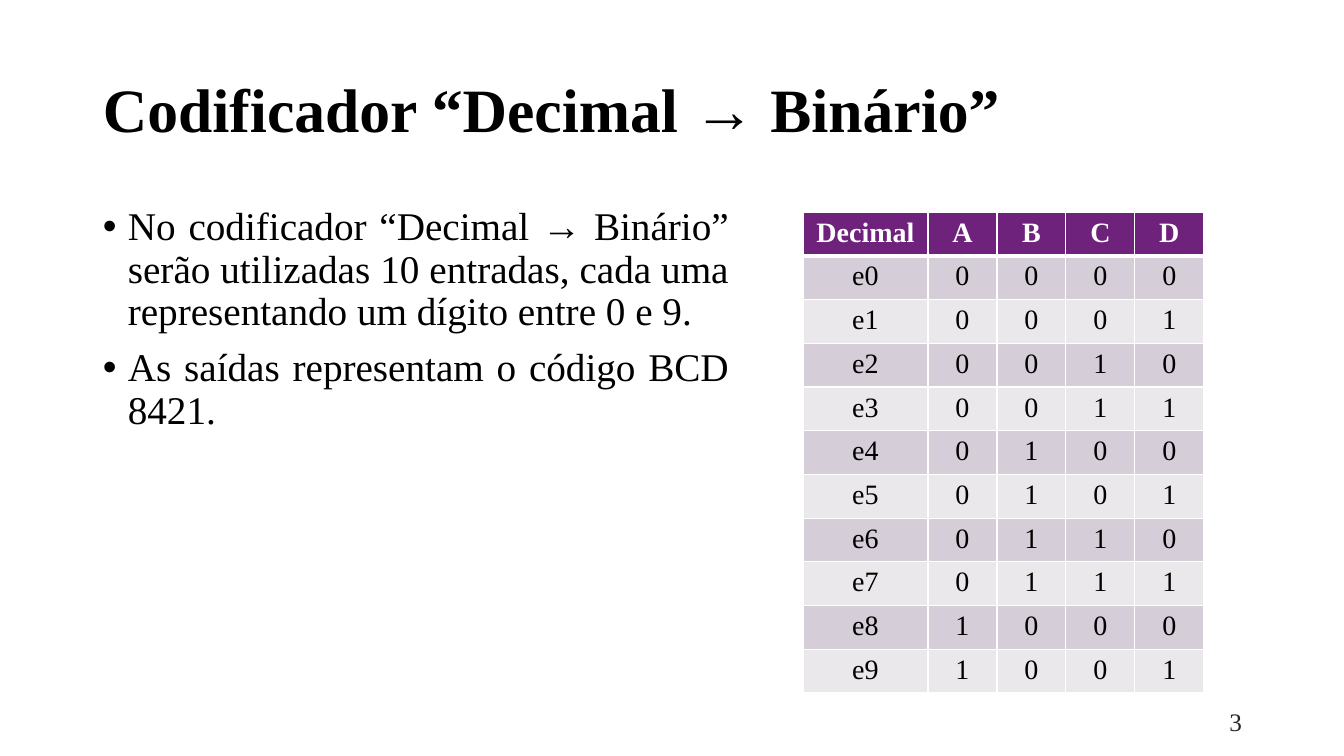
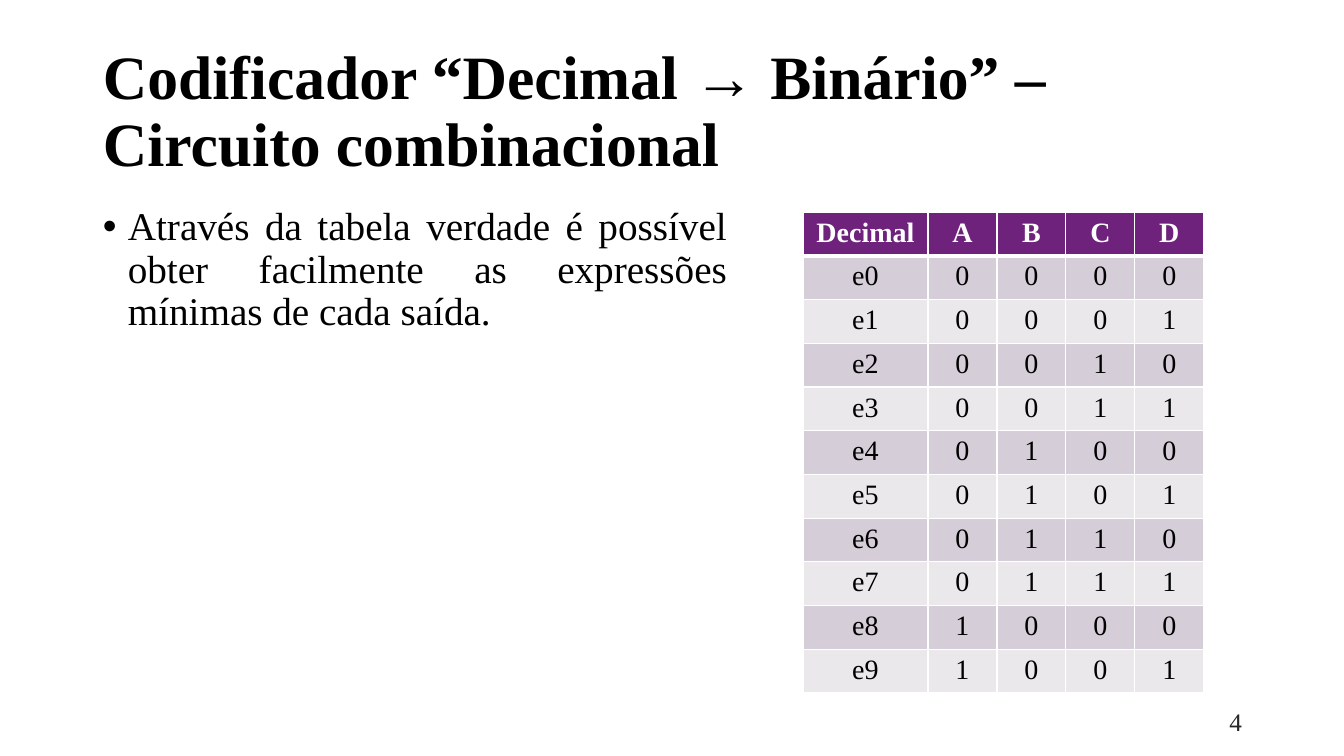
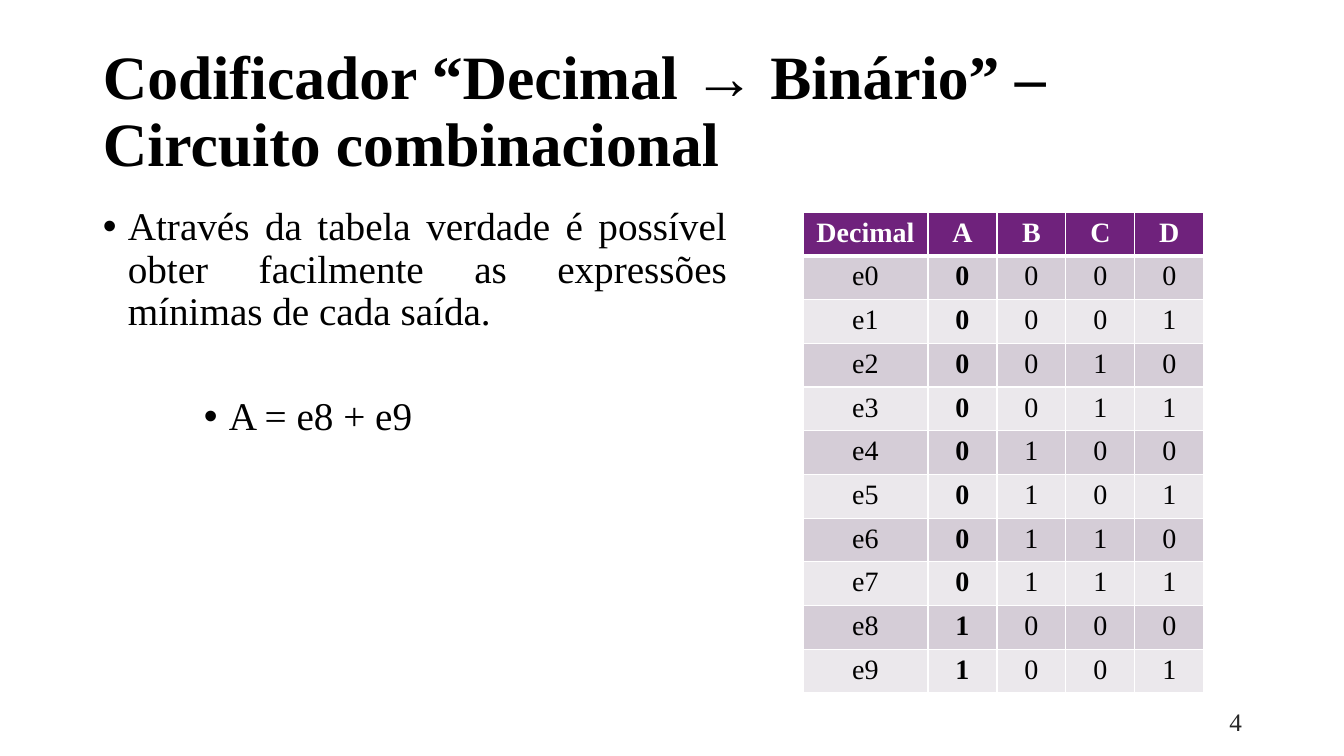
from lxml.etree import SubElement
from pptx import Presentation
from pptx.dml.color import RGBColor
from pptx.enum.text import MSO_ANCHOR, PP_ALIGN
from pptx.oxml.ns import qn
from pptx.util import Emu, Pt

PX_PER_INCH = 100.8
FONT = "Times New Roman"
COLORS = {
    "text": "000000",
    "number": "262626",
    "white": "FFFFFF",
    "header": "6F227C",
    "band_dark": "D5CDD7",
    "band_light": "EBE8EC",
}
STYLES = {
    "title": {"size": Pt(44), "bold": True, "name": FONT},
    "body": {"size": Pt(28), "bold": False, "name": FONT},
    "number": {"size": Pt(18), "bold": False, "name": FONT},
    "header": {"size": Pt(20), "bold": True, "name": FONT},
    "cell": {"size": Pt(20), "bold": False, "name": FONT},
    "marked": {"size": Pt(20), "bold": True, "name": FONT},
}
TITLE_BOX = (93, 40, 1159, 146)
NUMBER_BOX = (950, 701, 302, 40)
TABLE_BOX = (803, 212, 401, 451)
OUTPUTS = "ABCD"
OUTPUT_WIDTH = 69
DIGITS = 10

TITLE = "Codificador “Decimal → Binário”"
CIRCUIT_TITLE = TITLE + " – Circuito combinacional"
ENTRIES = ("No codificador “Decimal → Binário” serão utilizadas 10 entradas, "
           "cada uma representando um dígito entre 0 e 9.")
BCD = "As saídas representam o código BCD 8421."
EXPRESSIONS = ("Através da tabela verdade é possível obter facilmente "
               "as expressões mínimas de cada saída.")

SLIDES = [
    {"title": TITLE, "body_width": 646, "number": "3", "marked": None,
     "bullets": [(ENTRIES, 25, 10), (BCD, 25, 10)]},
    {"title": CIRCUIT_TITLE, "body_width": 644, "number": "4", "marked": None,
     "bullets": [(EXPRESSIONS, 25, 10)]},
    {"title": CIRCUIT_TITLE, "body_width": 644, "number": "4", "marked": "A",
     "bullets": [(EXPRESSIONS, 25, 10), ("A = e8 + e9", 126, 45)]},
]


def px(n):
    return Emu(round(n * 914400 / PX_PER_INCH))


def rgb(name):
    return RGBColor.from_string(COLORS[name])


def add_run(p, text, style, color="text"):
    r = p.add_run()
    r.text = text
    for key, value in STYLES[style].items():
        setattr(r.font, key, value)
    r.font.color.rgb = rgb(color)


def add_frame(s, box, anchor):
    tf = s.shapes.add_textbox(*map(px, box)).text_frame
    tf.word_wrap = True
    tf.vertical_anchor = anchor
    return tf


def add_title(s, box, text):
    p = add_frame(s, box, MSO_ANCHOR.MIDDLE).paragraphs[0]
    p.line_spacing = 0.9
    add_run(p, text, "title")


def add_bullets(s, box, bullets):
    tf = add_frame(s, box, MSO_ANCHOR.TOP)
    for i, (text, indent, before) in enumerate(bullets):
        p = tf.add_paragraph() if i else tf.paragraphs[0]
        formats = {"alignment": PP_ALIGN.JUSTIFY, "line_spacing": 0.9,
                   "space_before": Pt(before)}
        for key, value in formats.items():
            setattr(p, key, value)
        pPr = p._p.get_or_add_pPr()
        pPr.set("marL", str(px(indent)))
        pPr.set("indent", str(px(-25)))
        SubElement(pPr, qn("a:buFont"), typeface="Arial")
        SubElement(pPr, qn("a:buChar"), char="•")
        add_run(p, text, "body")


def add_number(s, box, text):
    p = add_frame(s, box, MSO_ANCHOR.MIDDLE).paragraphs[0]
    p.alignment = PP_ALIGN.RIGHT
    add_run(p, text, "number", "number")


def set_borders(cell, top, bottom):
    tcPr = cell._tc.get_or_add_tcPr()
    for side, width in {"L": 1, "R": 1, "T": top, "B": bottom}.items():
        ln = SubElement(tcPr, qn("a:ln" + side), w=str(Pt(width)))
        fill = SubElement(ln, qn("a:solidFill"))
        SubElement(fill, qn("a:srgbClr"), val=COLORS["white"])


def add_truth_table(s, box, marked):
    rows = [["Decimal", *OUTPUTS]]
    rows += [[f"e{n}", *f"{n:04b}"] for n in range(DIGITS)]
    table = s.shapes.add_table(len(rows), len(rows[0]), *map(px, box)).table
    table.first_row = table.horz_banding = False
    for row in table.rows:
        row.height = px(box[3] // len(rows))
    for j, column in enumerate(table.columns):
        first_width = box[2] - OUTPUT_WIDTH * len(OUTPUTS)
        column.width = px(OUTPUT_WIDTH if j else first_width)
    for i, values in enumerate(rows):
        for j, value in enumerate(values):
            cell = table.cell(i, j)
            set_borders(cell, 3 if i == 1 else 1, 1 if i else 3)
            if i == 0:
                style, color, fill = "header", "white", "header"
            else:
                style = "marked" if rows[0][j] == marked else "cell"
                color = "text"
                fill = "band_dark" if i % 2 else "band_light"
            cell.fill.solid()
            cell.fill.fore_color.rgb = rgb(fill)
            p = cell.text_frame.paragraphs[0]
            p.alignment = PP_ALIGN.CENTER
            add_run(p, value, style, color)


def add_encoder_slide(prs, content):
    s = prs.slides.add_slide(prs.slide_layouts[6])
    add_title(s, TITLE_BOX, content["title"])
    add_bullets(s, (93, 202, content["body_width"], 480), content["bullets"])
    add_truth_table(s, TABLE_BOX, content["marked"])
    add_number(s, NUMBER_BOX, content["number"])


def main():
    prs = Presentation()
    prs.slide_width, prs.slide_height = px(1344), px(756)
    for content in SLIDES:
        add_encoder_slide(prs, content)
    prs.save("out.pptx")


if __name__ == "__main__":
    main()
